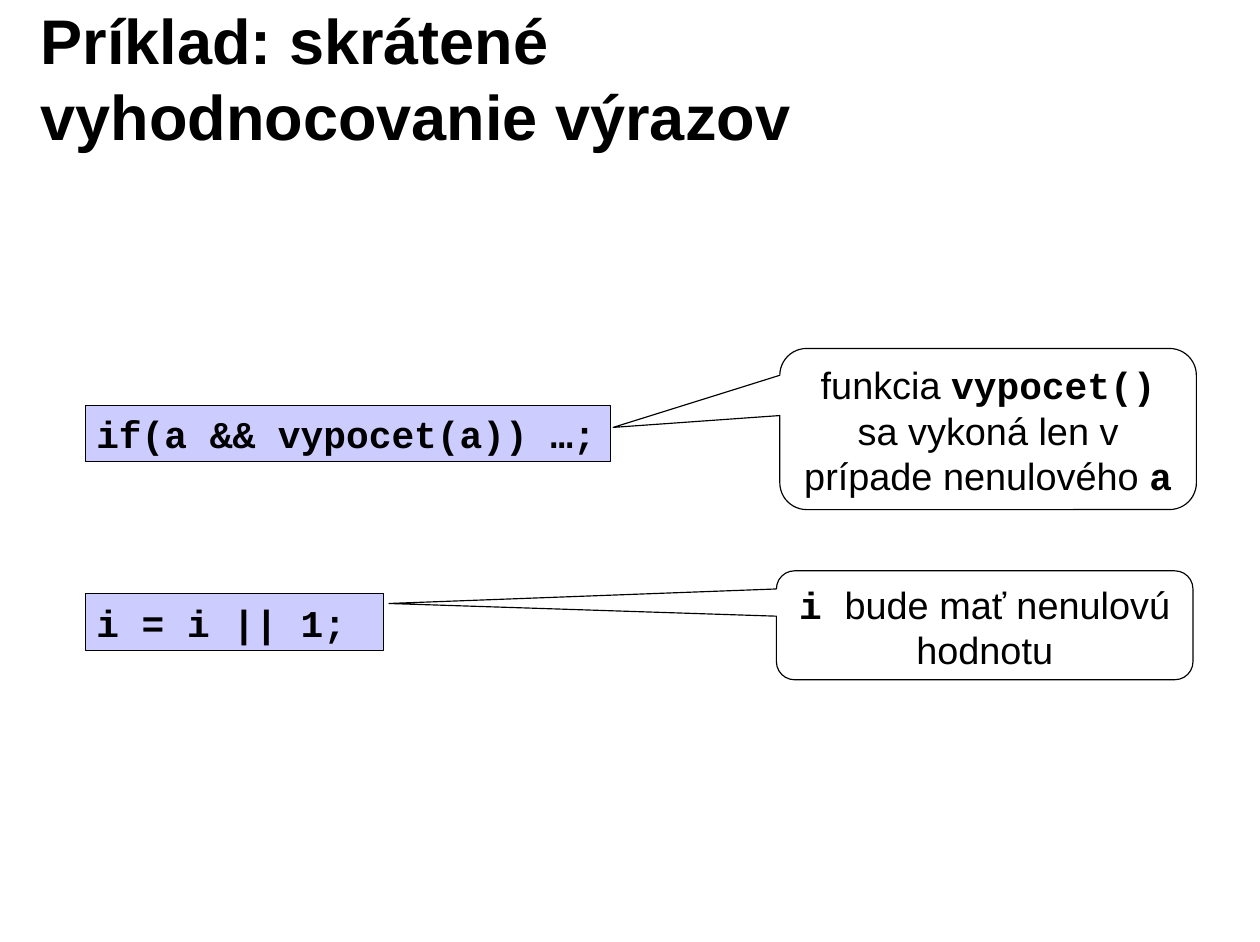
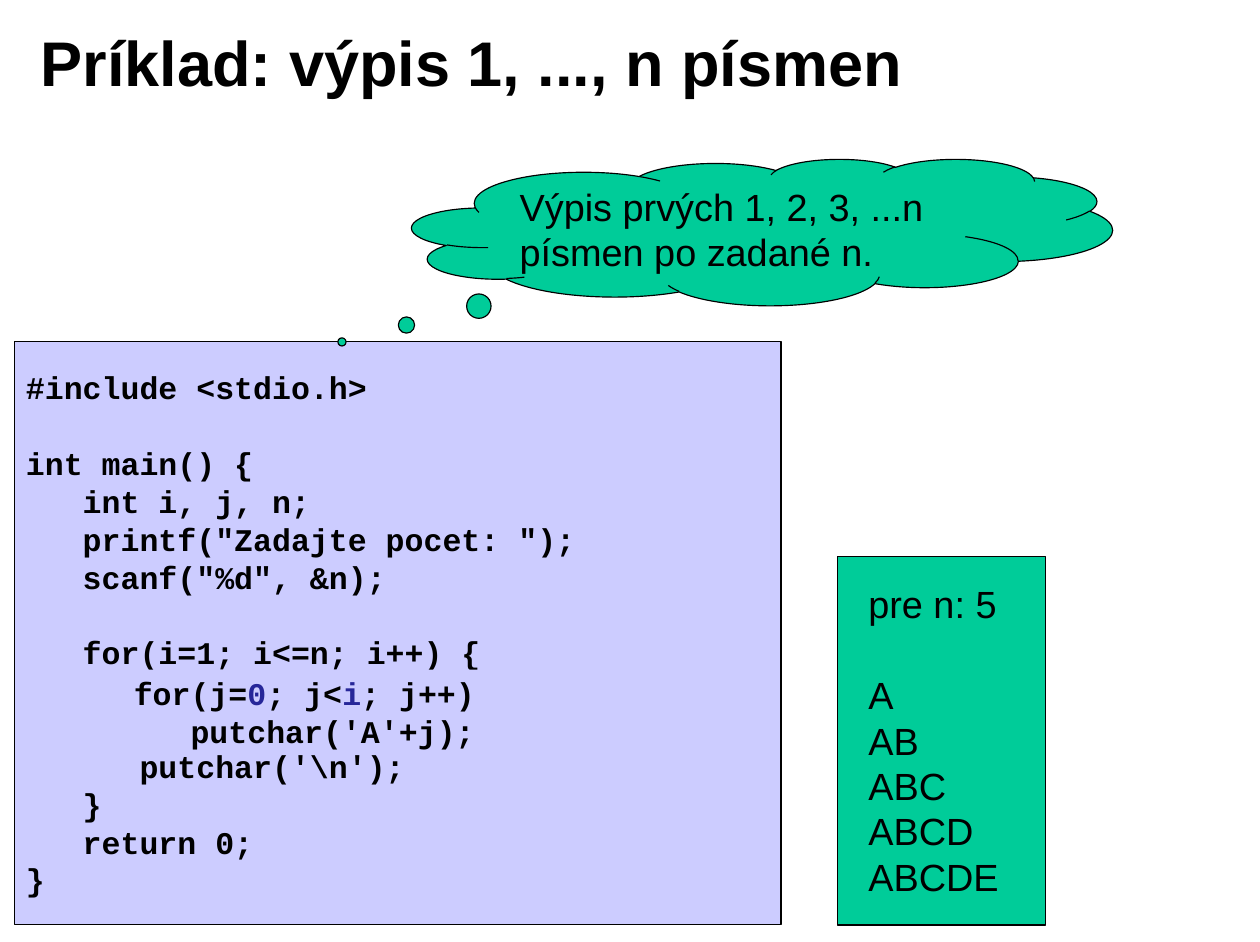
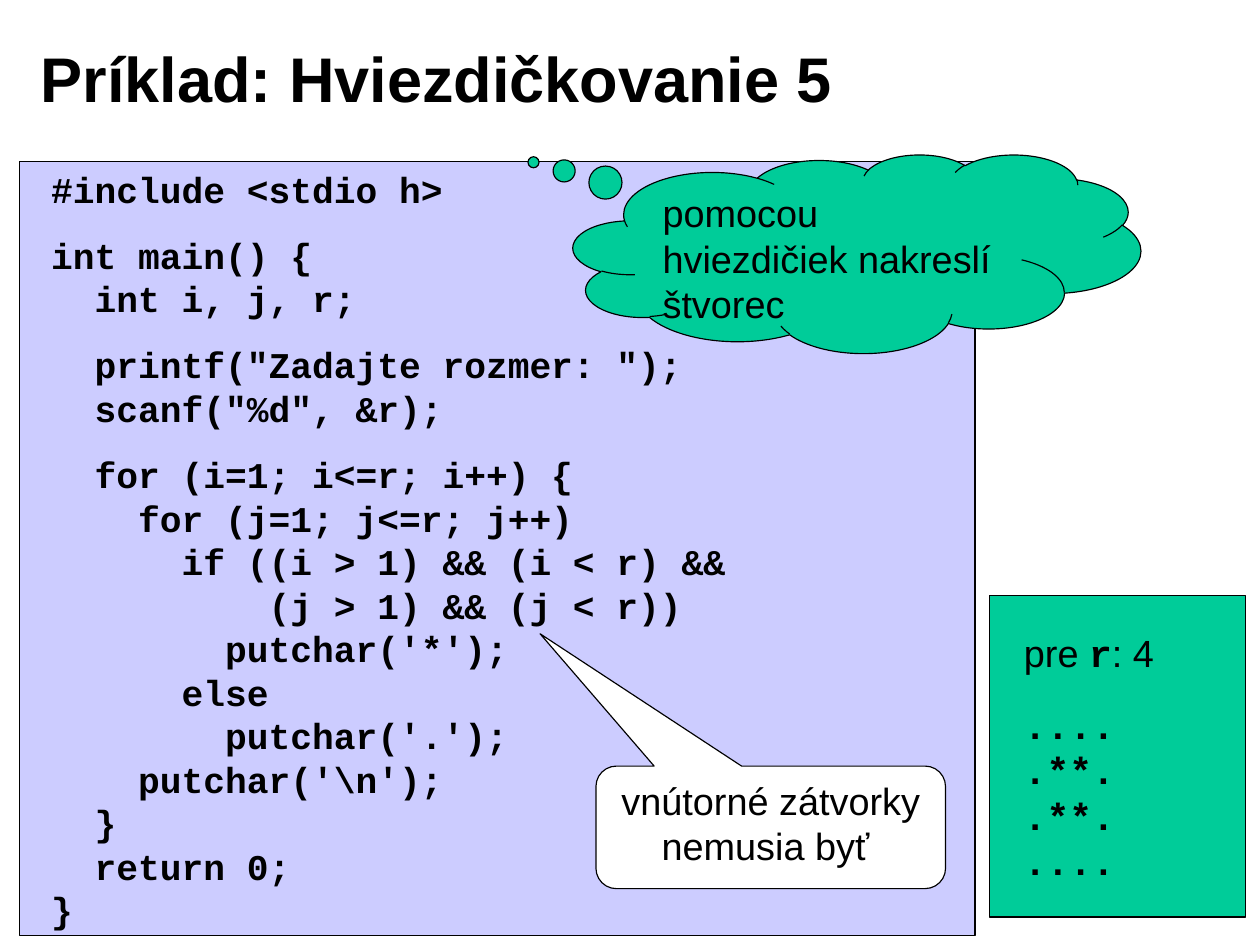
from pptx import Presentation
from pptx.dml.color import RGBColor
from pptx.enum.shapes import MSO_SHAPE
from pptx.enum.text import MSO_ANCHOR, PP_ALIGN
from pptx.util import Pt

PX = 9144
COLORS = {"ink": "000000", "code": "CCCCFF", "green": "00CC99", "paper": "FFFFFF", "accent": "262699"}
FONTS = {
    "sans": ("Arial", False, "ink"),
    "title": ("Arial", True, "ink"),
    "mono": ("Courier New", True, "ink"),
    "accent": ("Courier New", True, "accent"),
}
LINE_HEIGHT = 1.2
KINDS = {
    "code": dict(shape=MSO_SHAPE.RECTANGLE, fill="code", font="mono", anchor=MSO_ANCHOR.MIDDLE, insets=(10, 5, 0, 5)),
    "listing": dict(shape=MSO_SHAPE.RECTANGLE, fill="code", font="mono", insets=(28, 5, 0, 5)),
    "patch": dict(shape=MSO_SHAPE.RECTANGLE, fill="code", font="mono", anchor=MSO_ANCHOR.MIDDLE,
                  insets=(10, 5, 0, 5), outline=False),
    "output": dict(shape=MSO_SHAPE.RECTANGLE, fill="green", insets=(27, 22, 0, 5)),
    "wide output": dict(shape=MSO_SHAPE.RECTANGLE, fill="green", insets=(30, 30, 0, 5)),
    "callout": dict(shape=MSO_SHAPE.ROUNDED_RECTANGULAR_CALLOUT, fill="paper", align=PP_ALIGN.CENTER),
    "cloud": dict(shape=MSO_SHAPE.CLOUD_CALLOUT, fill="green", anchor=MSO_ANCHOR.MIDDLE),
    "top cloud": dict(shape=MSO_SHAPE.CLOUD_CALLOUT, fill="green"),
}

# A number in a text list is the gap in points before the next paragraph.
LETTERS_CODE = [
    "#include <stdio.h>", 24,
    "int main() {",
    "   int i, j, n;",
    "   printf(\"Zadajte pocet: \");",
    "   scanf(\"%d\", &n);", 24,
    "   for(i=1; i<=n; i++) {", 48,
    "      putchar('\\n');",
    "   }",
    "   return 0;",
    "}",
]
INNER_LOOP = [
    [("for(j=", "mono"), ("0", "accent"), ("; j<", "mono"), ("i", "accent"), ("; j++)", "mono")],
    "   putchar('A'+j);",
]
STARS_CODE = [
    "#include <stdio h>", 14.4,
    "int main() {",
    "  int i, j, r;", 14.4,
    "  printf(\"Zadajte rozmer: \");",
    "  scanf(\"%d\", &r);", 14.4,
    "  for (i=1; i<=r; i++) {",
    "    for (j=1; j<=r; j++)",
    "      if ((i > 1) && (i < r) &&",
    "          (j > 1) && (j < r))",
    "        putchar('*');",
    "      else",
    "        putchar('.');",
    "    putchar('\\n');",
    "  }",
    "  return 0;",
    "}",
]
STARS_OUTPUT = [
    [("pre ", "sans"), ("r", "mono"), (": 4", "sans")], 16.8,
    *([(row, "mono")] for row in ("....", ".**.", ".**.", "....")),
]
CALL_NOTE = [[("funkcia ", "sans"), ("vypocet() ", "mono"),
              ("sa vykoná len v prípade nenulového ", "sans"), ("a", "mono")]]
VALUE_NOTE = [[("i ", "mono"), ("bude mať nenulovú hodnotu", "sans")]]

SLIDES = [
    ("Príklad: skrátené vyhodnocovanie výrazov", 17, [
        ("code", (75, 357, 463, 50), 24, ["if(a && vypocet(a)) …;"], ()),
        ("code", (75, 523, 263, 50), 24, ["i = i || 1;"], ()),
        ("callout", (687, 307, 367, 142), 24, CALL_NOTE, (-0.9, -0.01)),
        ("callout", (684, 503, 367, 96), 24, VALUE_NOTE, (-1.43, -0.2)),
    ]),
    ("Príklad: výpis 1, ..., n písmen", 3, [
        ("code", (13, 301, 675, 514), 20, LETTERS_CODE, ()),
        ("cloud", (363, 140, 617, 129), 24, ["Výpis prvých 1, 2, 3, ...n písmen po zadané n."], (-0.6, 0.75)),
        ("patch", (108, 590, 319, 75), 20, INNER_LOOP, ()),
        ("output", (738, 490, 183, 325), 24, ["pre n: 5", 28.8, "A", "AB", "ABC", "ABCD", "ABCDE"], ()),
    ]),
    ("Príklad: Hviezdičkovanie 5", 17, [
        ("listing", (17, 142, 842, 682), 23, STARS_CODE, ()),
        ("top cloud", (505, 136, 500, 175), 24, ["pomocou hviezdičiek nakreslí štvorec"], (-0.57, -0.46)),
        ("wide output", (872, 525, 225, 283), 24, STARS_OUTPUT, ()),
        ("callout", (525, 675, 308, 108), 24, ["vnútorné zátvorky nemusia byť "], (-0.66, -1.58)),
    ]),
]


def color(name):
    return RGBColor.from_string(COLORS[name])


def set_font(font, style):
    name, bold, ink = FONTS[style]
    font.name, font.bold = name, bold
    font.color.rgb = color(ink)


def write(tf, items, size, style="sans", anchor=MSO_ANCHOR.TOP, align=PP_ALIGN.LEFT, insets=(10, 5, 10, 5)):
    tf.word_wrap = True
    tf.vertical_anchor = anchor
    tf.margin_left, tf.margin_top, tf.margin_right, tf.margin_bottom = (v * PX for v in insets)
    p, gap = None, 0
    for item in items:
        if isinstance(item, (int, float)):
            gap = item
            continue
        p = tf.add_paragraph() if p else tf.paragraphs[0]
        p.alignment = align
        p.line_spacing = Pt(size * LINE_HEIGHT)
        p.space_before, gap = Pt(gap), 0
        runs = [(item, style)] if isinstance(item, str) else item
        p.font.size = Pt(size)
        styles = {run_style for _, run_style in runs}
        if len(styles) == 1:
            set_font(p.font, styles.pop())
        for text, run_style in runs:
            r = p.add_run()
            r.text = text
            if len(runs) > 1:
                set_font(r.font, run_style)


def add_title(s, text, top):
    tf = s.shapes.add_textbox(25 * PX, top * PX, 892 * PX, 102 * PX).text_frame
    write(tf, [text], 40, "title", MSO_ANCHOR.MIDDLE, insets=(11, 6, 11, 6))


def add_panel(s, kind, box, size, items, pointer):
    look = KINDS[kind]
    sp = s.shapes.add_shape(look["shape"], *(v * PX for v in box))
    sp.shadow.inherit = False
    sp.fill.solid()
    sp.fill.fore_color.rgb = color(look["fill"])
    if look.get("outline", True):
        sp.line.color.rgb = color("ink")
        sp.line.width = Pt(0.75)
    else:
        sp.line.fill.background()
    for i, value in enumerate(pointer):
        sp.adjustments[i] = value
    layout = {key: look[key] for key in ("anchor", "align", "insets") if key in look}
    write(sp.text_frame, items, size, look.get("font", "sans"), **layout)


def main():
    prs = Presentation()
    prs.slide_width, prs.slide_height = 1110 * PX, 830 * PX
    for title, top, panels in SLIDES:
        s = prs.slides.add_slide(prs.slide_layouts[6])
        add_title(s, title, top)
        for panel in panels:
            add_panel(s, *panel)
    prs.save("out.pptx")


if __name__ == "__main__":
    main()
